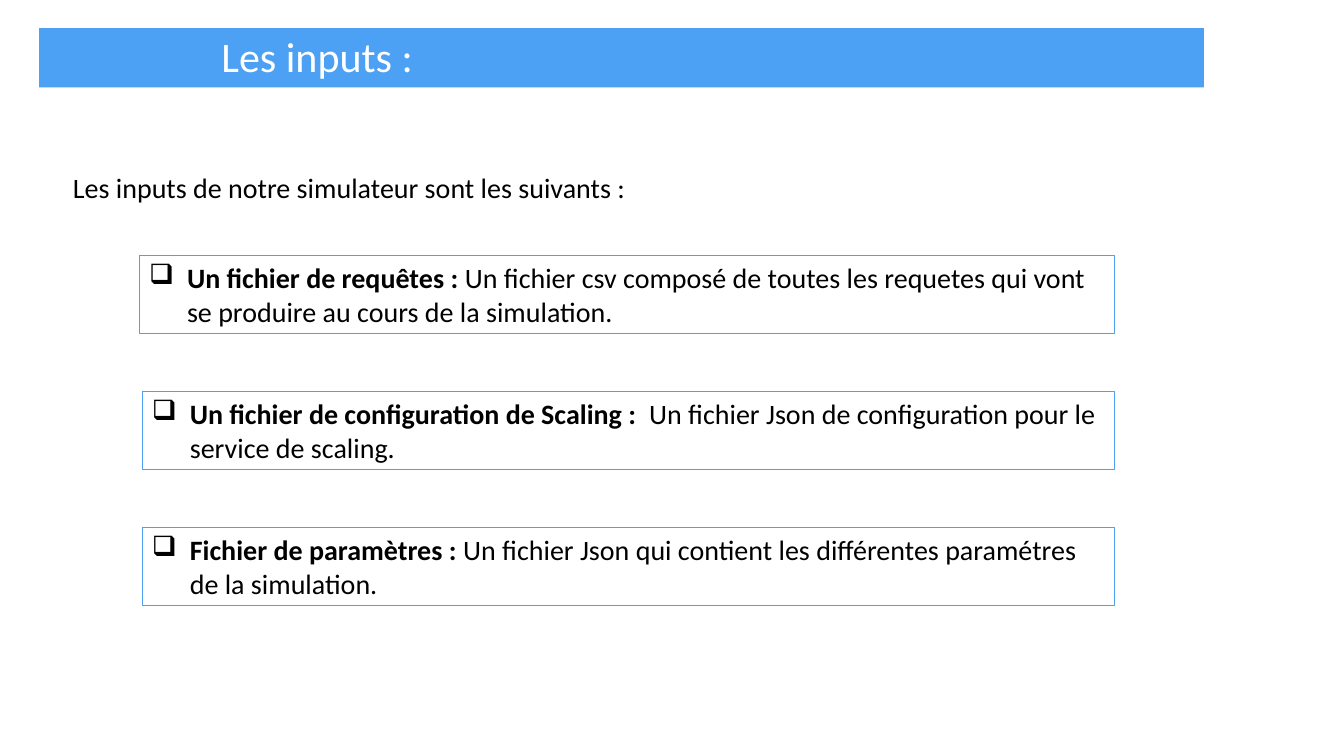
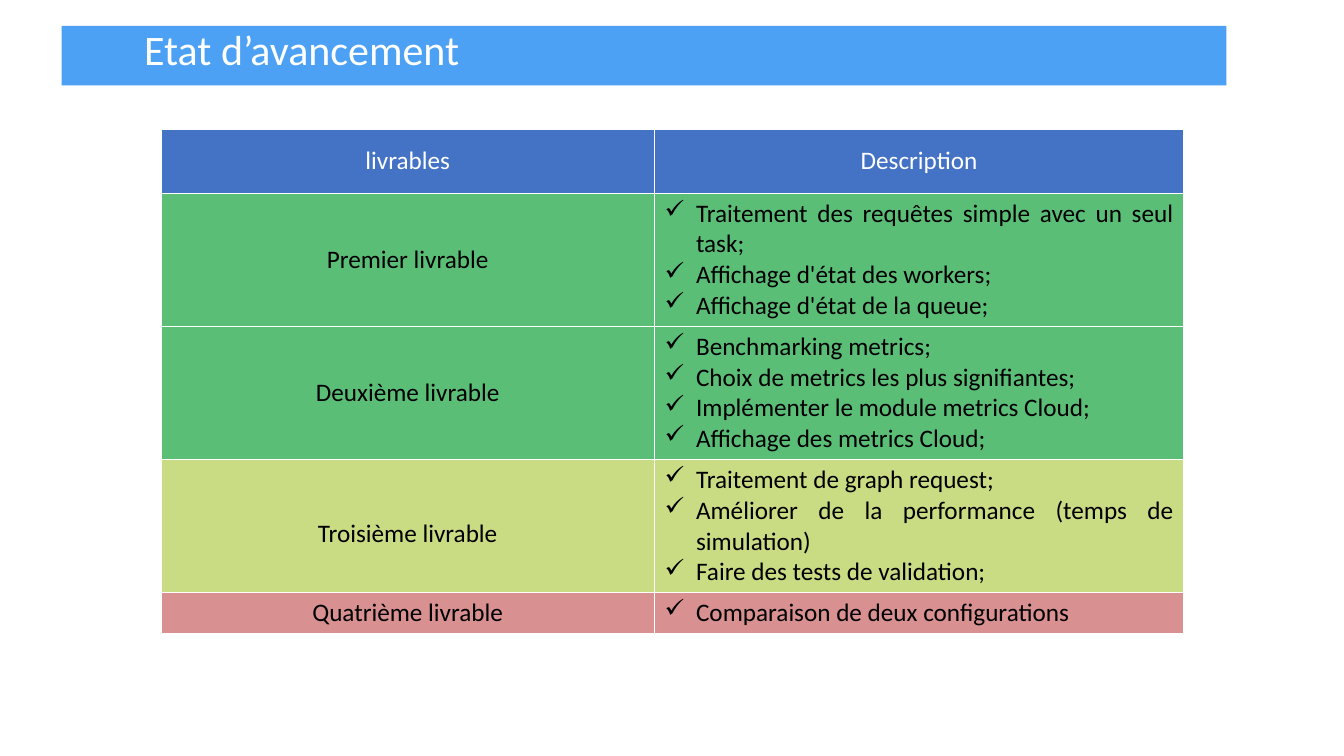
from dataclasses import dataclass

from lxml import etree
from pptx import Presentation
from pptx.dml import color
from pptx.enum import shapes, text
from pptx.oxml import ns
from pptx.util import Pt

FONT = "Calibri"
BAND_BLUE, HEADER_BLUE = "4CA1F4", "4472C4"
GREEN, LIME, RED = "5BBE77", "C9DC84", "D89090"
WHITE, BLACK = "FFFFFF", "000000"
LEFT, CENTER, JUSTIFY = text.PP_ALIGN.LEFT, text.PP_ALIGN.CENTER, text.PP_ALIGN.JUSTIFY


@dataclass
class Heading:
    """Title text with the places of its band and its text frame."""
    label: str
    band_left: float
    band_top: float
    left: float
    top: float
    align: text.PP_ALIGN


@dataclass
class InputFile:
    """One framed input: bold name, explanation and left edge."""
    name: str
    detail: str
    left: float


@dataclass
class Deliverable:
    """One table row with its tasks."""
    name: str
    tasks: list[str]
    fill: str
    height: float
    spacing: float = 1.0


INPUTS = [
    InputFile("Un fichier de requêtes : ",
              "Un fichier csv composé de toutes les requetes qui vont "
              "se produire au cours de la simulation.", 99.5),
    InputFile("Un fichier de configuration de Scaling :  ",
              "Un fichier Json de configuration pour le service de scaling.", 101.5),
    InputFile("Fichier de paramètres : ",
              "Un fichier Json qui contient les différentes paramétres "
              "de la simulation.", 101.5),
]
DELIVERABLES = [
    Deliverable("Premier livrable",
                ["Traitement des requêtes simple avec un seul task;",
                 "Affichage d'état des workers;",
                 "Affichage d'état de la queue;"], GREEN, 95),
    Deliverable("Deuxième livrable",
                ["Benchmarking metrics;",
                 "Choix de metrics les plus signifiantes;",
                 "Implémenter le module metrics Cloud;",
                 "Affichage des metrics Cloud;"], GREEN, 95),
    Deliverable("Troisième livrable",
                ["Traitement de graph request;",
                 "Améliorer de la performance (temps de simulation)",
                 "Faire des tests de validation;"], LIME, 95, 1.5),
    Deliverable("Quatrième livrable",
                ["Comparaison de deux configurations"], RED, 29),
]


def rgb(value: str) -> color.RGBColor:
    """Turn a hex string into a colour."""
    return color.RGBColor.from_string(value)


def add_run(p, label: str, size: float, ink: str = BLACK, bold: bool = False) -> None:
    """Append a formatted run to a paragraph."""
    r = p.add_run()
    r.text = label
    r.font.name, r.font.size, r.font.bold = FONT, Pt(size), bold
    r.font.color.rgb = rgb(ink)


def set_bullet(p, mark: str, indent: float) -> None:
    """Give a paragraph a hanging bullet."""
    pPr = p._p.get_or_add_pPr()
    pPr.set("marL", str(Pt(indent)))
    pPr.set("indent", str(-Pt(indent)))
    etree.SubElement(pPr, ns.qn("a:buChar")).set("char", mark)


def add_rect(s, left: float, top: float, width: float, height: float):
    """Add a rectangle without shadow, fill or line."""
    sp = s.shapes.add_shape(shapes.MSO_SHAPE.RECTANGLE,
                            Pt(left), Pt(top), Pt(width), Pt(height))
    sp.shadow.inherit = False
    sp.fill.background()
    sp.line.fill.background()
    return sp


def add_slide(prs, heading: Heading):
    """Add a title-only slide with its blue band behind the title."""
    s = prs.slides.add_slide(prs.slide_layouts[5])
    band = add_rect(s, heading.band_left, heading.band_top, 832, 42.5)
    band.fill.solid()
    band.fill.fore_color.rgb = rgb(BAND_BLUE)
    title = s.shapes.title
    title.element.addprevious(band.element)
    title.left, title.top = Pt(heading.left), Pt(heading.top)
    title.width, title.height = Pt(428), Pt(35)
    tf = title.text_frame
    tf.auto_size = text.MSO_AUTO_SIZE.NONE
    tf.vertical_anchor = text.MSO_ANCHOR.BOTTOM
    tf.margin_left = tf.margin_top = tf.margin_right = tf.margin_bottom = 0
    p = tf.paragraphs[0]
    p.alignment, p.line_spacing = heading.align, 0.9
    add_run(p, heading.label, 30, WHITE)
    return s


def add_text_rect(s, left: float, top: float, width: float, height: float):
    """Add a wrapping rectangle for left-aligned text."""
    sp = add_rect(s, left, top, width, height)
    tf = sp.text_frame
    tf.word_wrap = True
    tf.auto_size = text.MSO_AUTO_SIZE.SHAPE_TO_FIT_TEXT
    tf.vertical_anchor = text.MSO_ANCHOR.TOP
    tf.paragraphs[0].alignment = LEFT
    return sp


def build_inputs(prs) -> None:
    """Build the slide that lists the simulator inputs."""
    s = add_slide(prs, Heading("Les inputs : ", 28, 20, 16, 23, CENTER))
    intro = add_text_rect(s, 45, 118, 731.5, 31.5)
    add_run(intro.text_frame.paragraphs[0],
            "Les inputs de notre simulateur sont les suivants :", 20)
    right, first_top, step = 796, 182.75, 97.2
    for i, item in enumerate(INPUTS):
        sp = add_text_rect(s, item.left, first_top + i * step, right - item.left, 55.5)
        sp.line.color.rgb = rgb(BAND_BLUE)
        sp.line.width = Pt(0.75)
        p = sp.text_frame.paragraphs[0]
        set_bullet(p, "❑", 27)
        add_run(p, item.name, 20, bold=True)
        add_run(p, item.detail, 20)


def style_cell(cell, fill: str) -> None:
    """Give a cell white borders and a solid fill."""
    tcPr = cell._tc.get_or_add_tcPr()
    for side in ("lnL", "lnR", "lnT", "lnB"):
        ln = etree.SubElement(tcPr, ns.qn(f"a:{side}"), w=str(Pt(1)))
        solid = etree.SubElement(ln, ns.qn("a:solidFill"))
        etree.SubElement(solid, ns.qn("a:srgbClr"), val=WHITE)
    cell.fill.solid()
    cell.fill.fore_color.rgb = rgb(fill)


def fill_label(cell, label: str, fill: str, ink: str = BLACK, spacing: float = 1.0) -> None:
    """Write a centred label into a cell."""
    style_cell(cell, fill)
    cell.vertical_anchor = text.MSO_ANCHOR.MIDDLE
    p = cell.text_frame.paragraphs[0]
    p.alignment, p.line_spacing = CENTER, spacing
    add_run(p, label, 18, ink)


def fill_tasks(cell, tasks: list[str], fill: str) -> None:
    """Write a ticked list into a cell."""
    style_cell(cell, fill)
    tf = cell.text_frame
    for i, task in enumerate(tasks):
        p = tf.add_paragraph() if i else tf.paragraphs[0]
        p.alignment = JUSTIFY
        set_bullet(p, "✓", 22.5)
        add_run(p, task, 18)


def build_progress(prs) -> None:
    """Build the slide with the table of deliverables."""
    s = add_slide(prs, Heading("Etat d’avancement", 44, 18.5, 103, 18.5, LEFT))
    widths = [352.5, 378]
    heights = [45.5] + [d.height for d in DELIVERABLES]
    table = s.shapes.add_table(len(heights), len(widths), Pt(115), Pt(92.5),
                               Pt(sum(widths)), Pt(sum(heights))).table
    table.first_row = table.horz_banding = False
    for column, width in zip(table.columns, widths):
        column.width = Pt(width)
    for row, height in zip(table.rows, heights):
        row.height = Pt(height)
    for j, label in enumerate(("livrables", "Description")):
        fill_label(table.cell(0, j), label, HEADER_BLUE, WHITE)
    for i, d in enumerate(DELIVERABLES, 1):
        fill_label(table.cell(i, 0), d.name, d.fill, spacing=d.spacing)
        fill_tasks(table.cell(i, 1), d.tasks, d.fill)


def main() -> None:
    """Build and save the presentation."""
    prs = Presentation()
    prs.slide_width, prs.slide_height = Pt(960), Pt(540)
    build_inputs(prs)
    build_progress(prs)
    prs.save("out.pptx")


if __name__ == "__main__":
    main()
